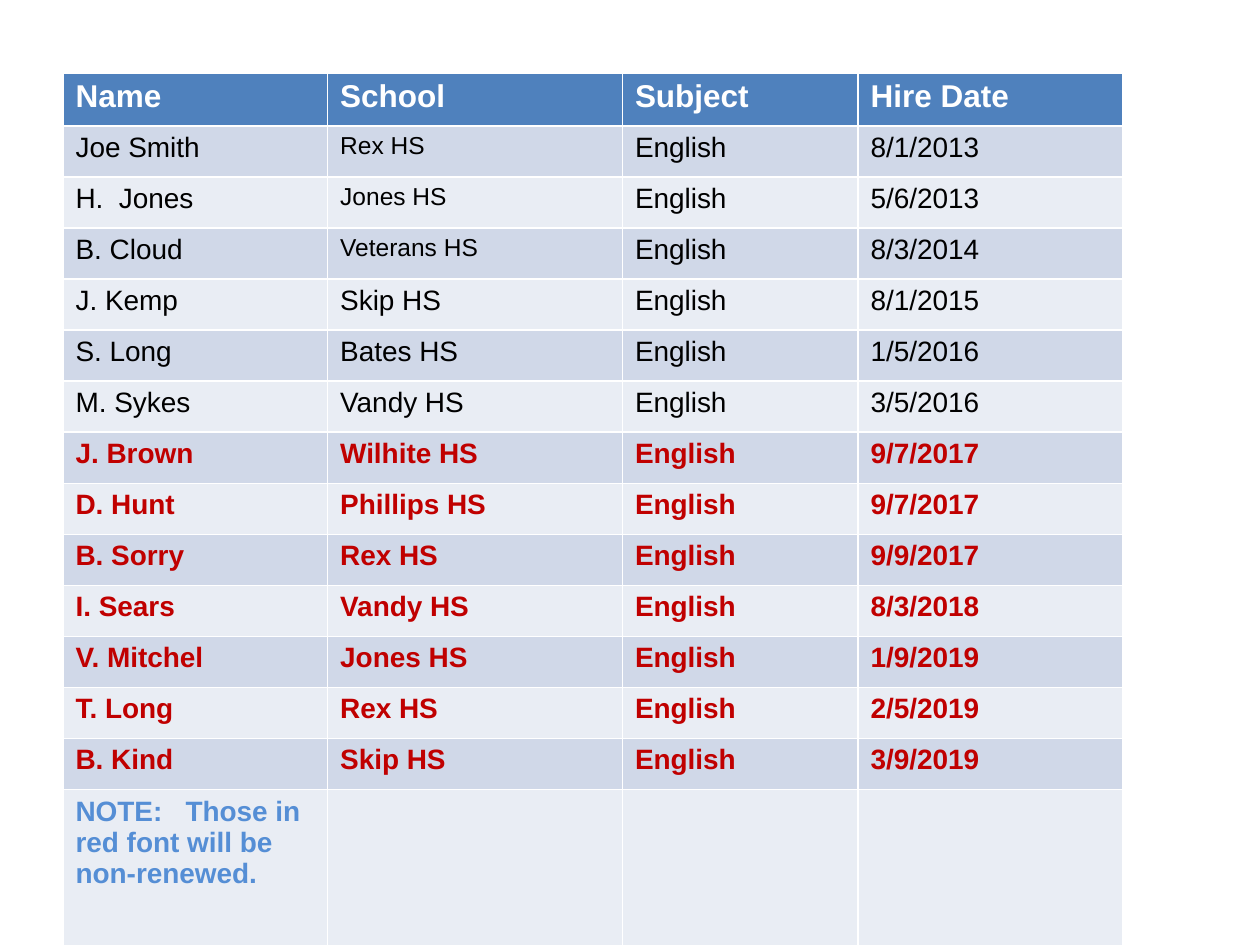
from dataclasses import dataclass

from pptx import Presentation, util as u
from pptx.dml.color import RGBColor


@dataclass(frozen=True)
class Theme:
    font: str = "Arial"
    header_fill: str = "4F81BD"
    bands: tuple = ("D0D8E8", "E9EDF4")
    header_text: str = "FFFFFF"
    body_text: str = "000000"
    non_renewed: str = "C00000"
    note_text: str = "558ED5"
    header_size: int = 18
    body_size: int = 16
    small_size: int = 14


THEME = Theme()

# Content: every teacher has the same subject
SUBJECT = "English"
HEADINGS = ("Name", "School", "Subject", "Hire Date")
RENEWED = [
    ("Joe Smith", "Rex HS", "8/1/2013"),
    ("H.  Jones", "Jones HS", "5/6/2013"),
    ("B. Cloud", "Veterans HS", "8/3/2014"),
    ("J. Kemp", "Skip HS", "8/1/2015"),
    ("S. Long", "Bates HS", "1/5/2016"),
    ("M. Sykes", "Vandy HS", "3/5/2016"),
]
NON_RENEWED = [
    ("J. Brown", "Wilhite HS", "9/7/2017"),
    ("D. Hunt", "Phillips HS", "9/7/2017"),
    ("B. Sorry", "Rex HS", "9/9/2017"),
    ("I. Sears", "Vandy HS", "8/3/2018"),
    ("V. Mitchel", "Jones HS", "1/9/2019"),
    ("T. Long", "Rex HS", "2/5/2019"),
    ("B. Kind", "Skip HS", "3/9/2019"),
]
NOTE = "NOTE:   Those in red font will be non-renewed."
SMALL_SCHOOLS = 3  # the first schools are set in smaller type

# Grid, in inches
LEFT, TOP, HEIGHT = 0.5, 0.58, 7.1
COLUMN_WIDTHS = (2.1, 2.34, 1.87, 2.1)
HEADER_HEIGHT, NOTE_HEIGHT = 0.42, 1.41


def fill_cell(cell, words, fill, size, color, bold):
    cell.fill.solid()
    cell.fill.fore_color.rgb = RGBColor.from_string(fill)
    cell.text_frame.text = words
    for run in cell.text_frame.paragraphs[0].runs:
        run.font.name = THEME.font
        run.font.size = u.Pt(size)
        run.font.bold = bold
        run.font.color.rgb = RGBColor.from_string(color)


def table_rows():
    """Return (words, text colour, bold) for each row."""
    rows = [(HEADINGS, THEME.header_text, True)]
    for teachers, color, bold in (
        (RENEWED, THEME.body_text, False),
        (NON_RENEWED, THEME.non_renewed, True),
    ):
        rows += [((name, school, SUBJECT, hired), color, bold)
                 for name, school, hired in teachers]
    rows.append(((NOTE, "", "", ""), THEME.note_text, True))
    return rows


def text_size(row, column):
    if row == 0:
        return THEME.header_size
    if HEADINGS[column] == "School" and row <= SMALL_SCHOOLS:
        return THEME.small_size
    return THEME.body_size


def main():
    deck = Presentation()
    deck.slide_width, deck.slide_height = u.Inches(10), u.Inches(7.5)
    slide = deck.slides.add_slide(deck.slide_layouts[6])

    # Roster table
    rows = table_rows()
    roster = slide.shapes.add_table(
        len(rows), len(HEADINGS), u.Inches(LEFT), u.Inches(TOP),
        u.Inches(sum(COLUMN_WIDTHS)), u.Inches(HEIGHT)).table
    for column, width in zip(roster.columns, COLUMN_WIDTHS):
        column.width = u.Inches(width)

    # Teachers share the height left by the header and the note
    teacher_count = len(rows) - 2
    teacher_height = (HEIGHT - HEADER_HEIGHT - NOTE_HEIGHT) / teacher_count
    heights = [HEADER_HEIGHT] + [teacher_height] * teacher_count + [NOTE_HEIGHT]

    # Cells, in alternating bands below the header
    for r, (words, color, bold) in enumerate(rows):
        roster.rows[r].height = u.Inches(heights[r])
        fill = THEME.bands[(r - 1) % 2] if r else THEME.header_fill
        for c, word in enumerate(words):
            fill_cell(roster.cell(r, c), word, fill, text_size(r, c), color, bold)

    deck.save("out.pptx")


if __name__ == "__main__":
    main()
